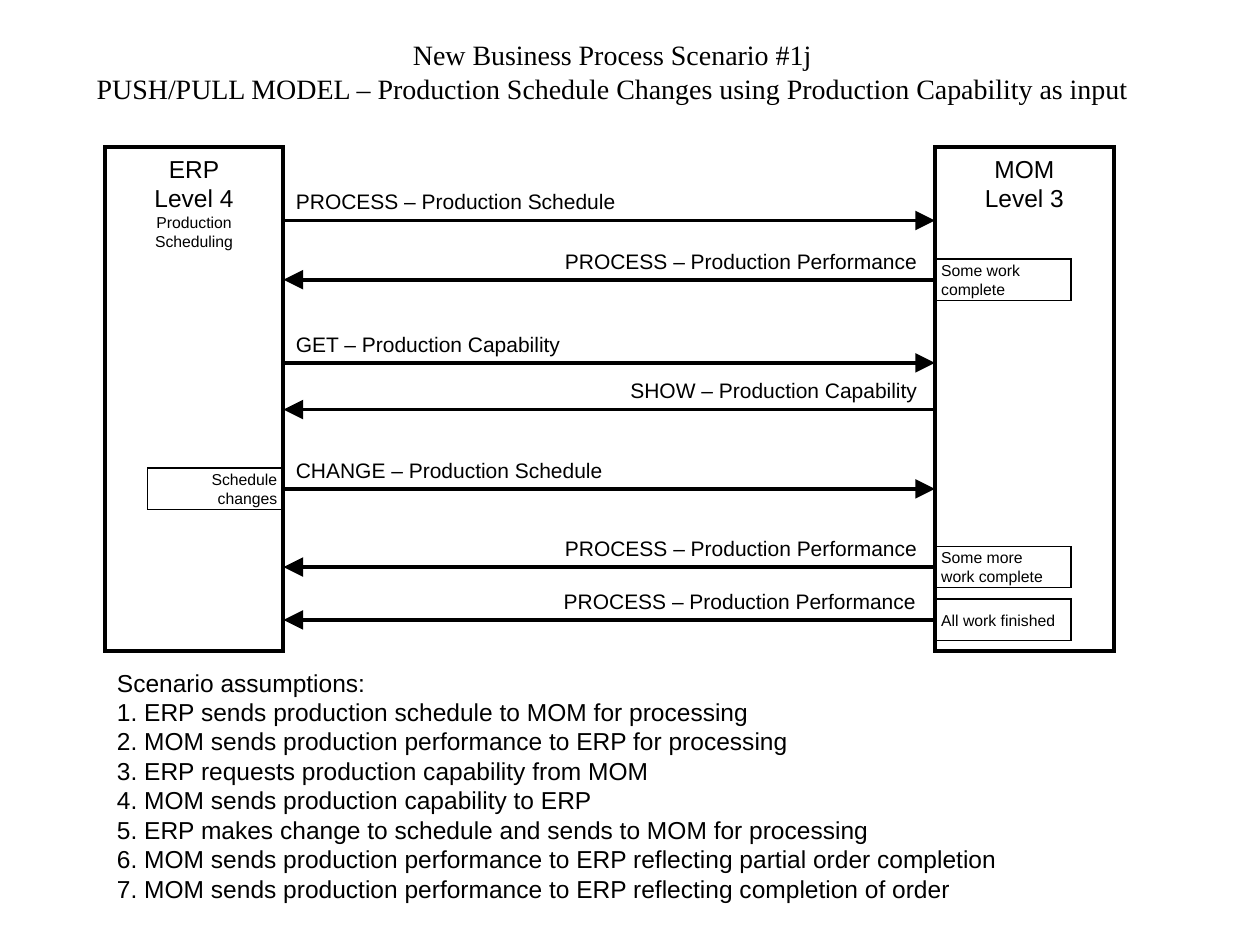
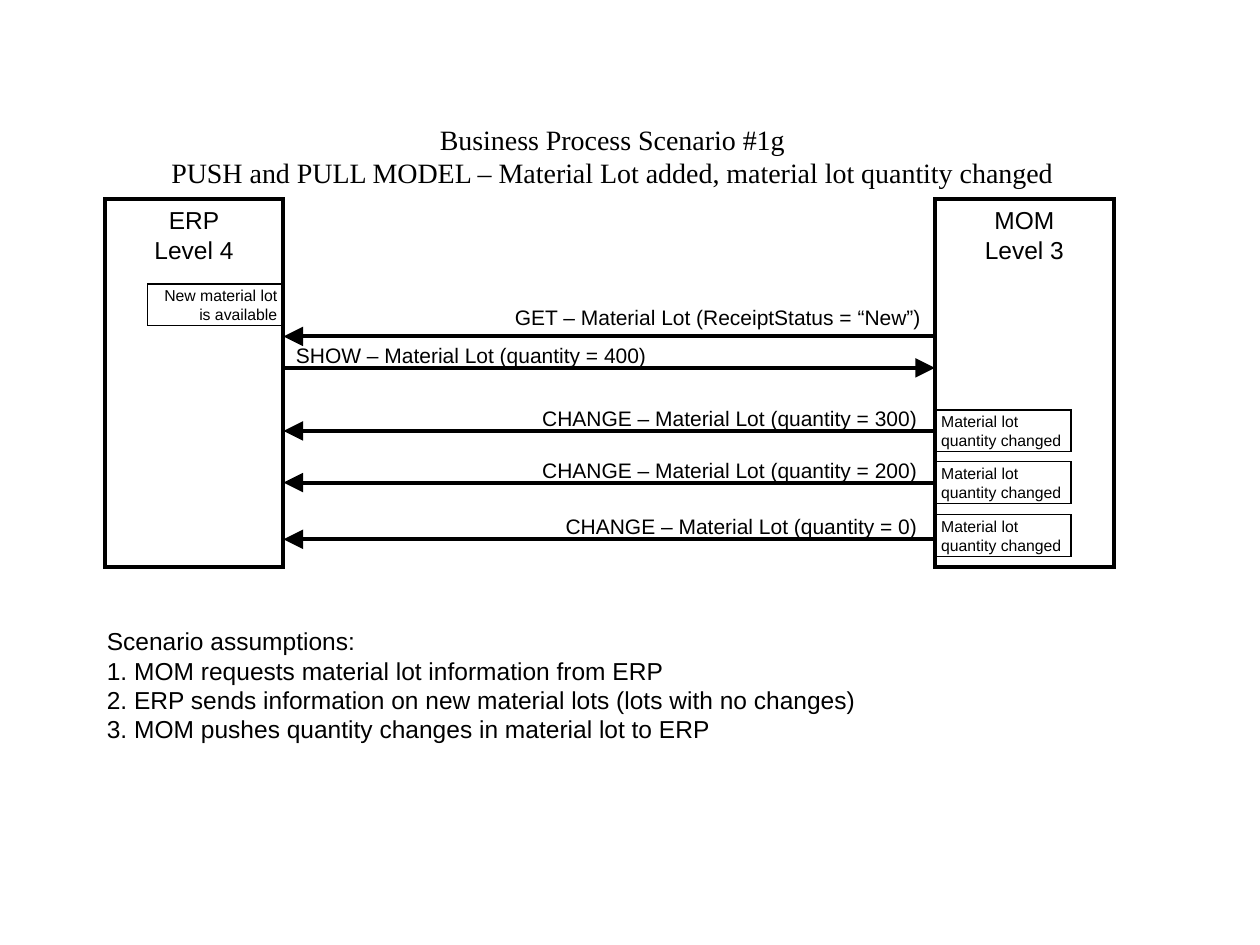
from dataclasses import dataclass

from lxml.etree import SubElement
from pptx import Presentation
from pptx.dml.color import RGBColor as Rgb
from pptx.enum.shapes import MSO_CONNECTOR as Link, MSO_SHAPE as Kind
from pptx.enum.text import MSO_ANCHOR as Anchor, MSO_AUTO_SIZE as Fit
from pptx.enum.text import PP_ALIGN as Align
from pptx.oxml.ns import qn
from pptx.util import Inches, Pt

HUES = {"ink": "000000", "paper": "FFFFFF"}
FONTS = {
    "title": {"name": "Times New Roman", "size": Pt(16)},
    "head": {"name": "Arial", "size": Pt(14)},
    "label": {"name": "Arial", "size": Pt(12)},
    "note": {"name": "Arial", "size": Pt(9)},
}
FRAME = {"margin_left": Inches(0.1), "margin_right": Inches(0.1),
         "margin_top": Inches(0.05), "margin_bottom": Inches(0.05),
         "vertical_anchor": Anchor.TOP, "word_wrap": True}
LOOSE = FRAME | {"word_wrap": False, "auto_size": Fit.SHAPE_TO_FIT_TEXT}
TIGHT = FRAME | {"margin_left": Inches(0.05), "margin_right": Inches(0.05),
                 "vertical_anchor": Anchor.MIDDLE, "word_wrap": False}
POST = 1.42
NOTE_W, NOTE_H = 1.08, 0.33
LABEL_H = 0.3


@dataclass
class Call:
    """A message between the two systems, at a height below the box top."""
    y: float
    side: str
    width: float
    text: str
    lift: float = 0.3
    gap: float = 0.04


def put(item, values):
    """Set every attribute in values on item."""
    for key, value in values.items():
        setattr(item, key, value)


def write(shape, lines, font, frame=FRAME, align=Align.LEFT):
    """Write (text, font) or plain lines into a shape."""
    body = shape.text_frame
    put(body, frame)
    for i, line in enumerate(lines):
        text, style = line if isinstance(line, tuple) else (line, font)
        para = body.paragraphs[0] if i == 0 else body.add_paragraph()
        para.alignment = align
        run = para.add_run()
        run.text = text
        put(run.font, FONTS[style])
        run.font.color.rgb = Rgb.from_string(HUES["ink"])


def add_text(slide, box, *args, **style):
    """Add a text box."""
    write(slide.shapes.add_textbox(*map(Inches, box)), *args, **style)


def ink_line(shape, weight):
    """Colour and size a line, with square corners, and return its XML."""
    shape.line.color.rgb = Rgb.from_string(HUES["ink"])
    shape.line.width = Pt(weight)
    line = shape._element.spPr.find(qn("a:ln"))
    SubElement(line, qn("a:miter"), lim="800000")
    return line


def add_box(slide, box, weight, fill=None):
    """Add an outlined rectangle."""
    shape = slide.shapes.add_shape(Kind.RECTANGLE, *map(Inches, box))
    shape.shadow.inherit = False
    if fill:
        shape.fill.solid()
        shape.fill.fore_color.rgb = Rgb.from_string(HUES[fill])
    else:
        shape.fill.background()
    ink_line(shape, weight)
    return shape


def add_note(slide, x, mid, side, lines):
    """Add a small event box inside a post, against its inner edge at x."""
    left, align = (x - NOTE_W, Align.RIGHT) if side == "ERP" else (x, Align.LEFT)
    note = add_box(slide, (left, mid - NOTE_H / 2, NOTE_W, NOTE_H), 0.75)
    write(note, lines, "note", TIGHT, align)
    return note


def add_call(slide, start, stop, top, call, notes):
    """Draw a message arrow with its label, joined to the notes at its height."""
    y = top + call.y
    ends = map(Inches, (start, y, stop, y))
    arrow = slide.shapes.add_connector(Link.STRAIGHT, *ends)
    line = ink_line(arrow, 2.25)
    if ("ERP", call.y) in notes:
        arrow.begin_connect(notes["ERP", call.y], 3)
    if ("MOM", call.y) in notes:
        arrow.end_connect(notes["MOM", call.y], 1)
    tip = "a:tailEnd" if call.side == "ERP" else "a:headEnd"
    SubElement(line, qn(tip), type="triangle", w="lg", len="lg")
    SubElement(arrow._element.spPr, qn("a:effectLst"))
    left, align = start, Align.LEFT
    if call.side == "MOM":
        left, align = stop - call.gap - call.width, Align.RIGHT
    add_text(slide, (left, y - call.lift, call.width, LABEL_H), [call.text],
             "label", frame=LOOSE, align=align)


def add_flow(slide, box, posts, events, calls, fill=None):
    """Draw both system posts, their notes and the messages in a box."""
    left, top, width, height = box
    for x, lines in zip((left, left + width - POST), posts):
        post = add_box(slide, (x, top, POST, height), 2.25, fill)
        write(post, lines, "head", align=Align.CENTER)
    edges = {"ERP": left + POST, "MOM": left + width - POST}
    notes = {(side, y): add_note(slide, edges[side], top + y, side, lines)
             for side, y, lines in events}
    for call in calls:
        add_call(slide, *edges.values(), top, call, notes)


def add_scene(deck, title, flow, facts):
    """Build one scenario slide from title, flow and assumption parts."""
    slide = deck.slides.add_slide(deck.slide_layouts[6])
    add_flow(slide, **flow)
    box, lines = title
    add_text(slide, box, lines, "title", frame=LOOSE, align=Align.CENTER)
    box, lines = facts
    steps = [f"{i}. {line}" for i, line in enumerate(lines, 1)]
    add_text(slide, box, ["Scenario assumptions:", *steps], "head")


ERP, MOM = ["ERP", "Level 4"], ["MOM", "Level 3"]
DONE = "PROCESS – Production Performance"
LOT = ["Material lot", "quantity changed"]
SCENES = [
    {
        "title": ((0.66, 0.25, 8.4, 0.64), [
            "New Business Process Scenario #1j",
            "PUSH/PULL MODEL – Production Schedule Changes using "
            "Production Capability as input"]),
        "flow": {
            "box": (0.83, 1.17, 8.01, 4),
            "fill": "paper",
            "posts": ([*ERP, ("Production Scheduling", "note")], MOM),
            "events": [
                ("MOM", 1.05, ["Some work", "complete"]),
                ("ERP", 2.71, ["Schedule", "changes"]),
                ("MOM", 3.33, ["Some more", "work complete"]),
                ("MOM", 3.75, ["All work finished"])],
            "calls": [
                Call(0.58, "ERP", 2.75, "PROCESS – Production Schedule"),
                Call(1.05, "MOM", 3, DONE),
                Call(1.71, "ERP", 2.32, "GET – Production Capability"),
                Call(2.08, "MOM", 2.48, "SHOW – Production Capability"),
                Call(2.71, "ERP", 2.66, "CHANGE – Production Schedule"),
                Call(3.33, "MOM", 3, DONE),
                Call(3.75, "MOM", 3, DONE, gap=0.05)],
        },
        "facts": ((0.83, 5.25, 8, 2), [
            "ERP sends production schedule to MOM for processing",
            "MOM sends production performance to ERP for processing",
            "ERP requests production capability from MOM",
            "MOM sends production capability to ERP",
            "ERP makes change to schedule and sends to MOM for processing",
            "MOM sends production performance to ERP reflecting partial "
            "order completion",
            "MOM sends production performance to ERP reflecting completion "
            "of order"]),
    },
    {
        "title": ((1.25, 0.92, 7.22, 0.64), [
            "Business Process Scenario #1g",
            "PUSH and PULL MODEL – Material Lot added, "
            "material lot quantity changed"]),
        "flow": {
            "box": (0.83, 1.58, 8.01, 2.92),
            "posts": (ERP, MOM),
            "events": [
                ("ERP", 0.84, ["New material lot", "is available"]),
                *[("MOM", y, LOT) for y in (1.84, 2.25, 2.67)]],
            "calls": [
                Call(1.09, "MOM", 3.43,
                     "GET – Material Lot (ReceiptStatus = “New”)", gap=0.01),
                Call(1.34, "ERP", 3.01,
                     "SHOW – Material Lot (quantity = 400)", 0.25),
                *[Call(y, "MOM", width,
                       f"CHANGE – Material Lot (quantity = {count})", 0.25)
                  for y, width, count in ((1.84, 3.18, 300), (2.25, 3.18, 200),
                                          (2.7, 2.99, 0))]],
        },
        "facts": ((0.75, 4.92, 8, 1.08), [
            "MOM requests material lot information from ERP",
            "ERP sends information on new material lots "
            "(lots with no changes)",
            "MOM pushes quantity changes in material lot to ERP"]),
    },
]


def main():
    """Build and save the deck."""
    deck = Presentation()
    put(deck, {"slide_width": Inches(10), "slide_height": Inches(7.5)})
    for scene in SCENES:
        add_scene(deck, **scene)
    deck.save("out.pptx")


if __name__ == "__main__":
    main()
